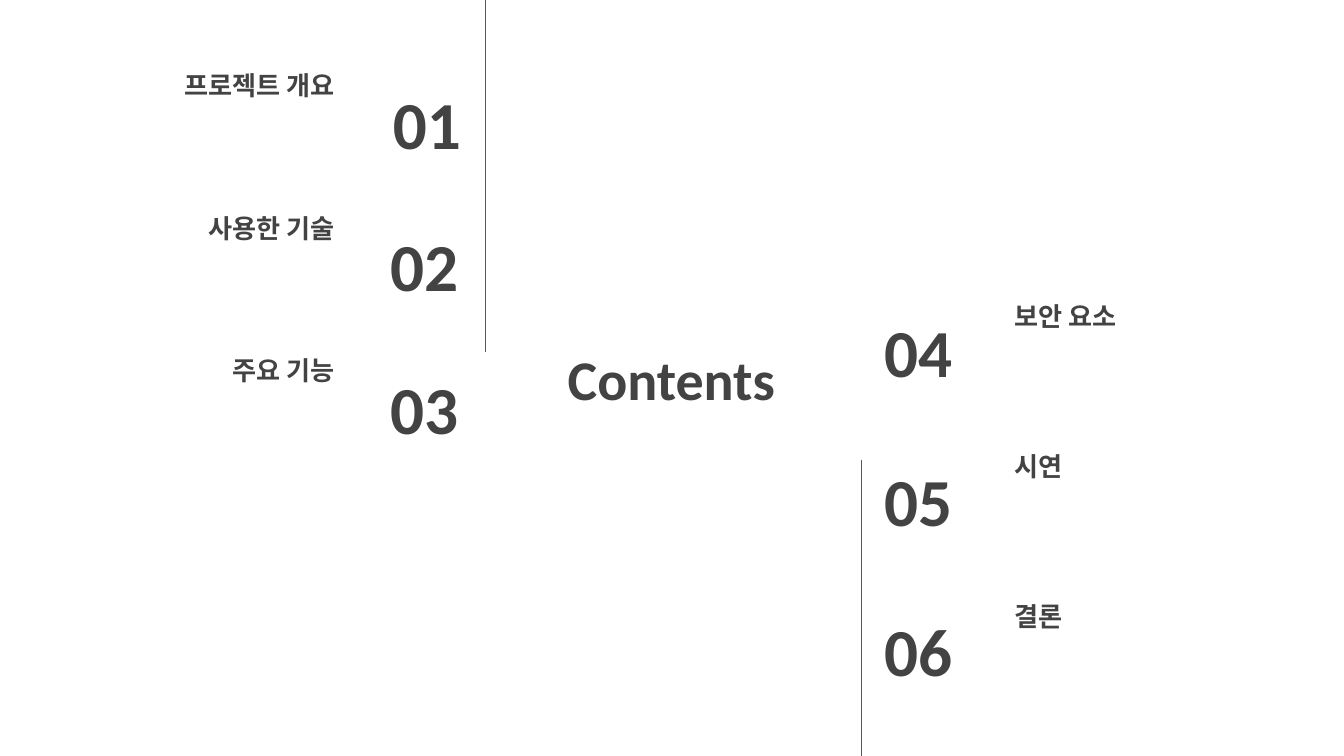
from dataclasses import dataclass

from lxml.etree import SubElement
from pptx import Presentation
from pptx.dml.color import RGBColor
from pptx.enum.shapes import MSO_CONNECTOR
from pptx.enum.text import MSO_ANCHOR, PP_ALIGN
from pptx.oxml.ns import qn
from pptx.slide import Slide
from pptx.util import Cm, Pt

COLOURS = {"text": "434343", "line": "595959", "background": "FFFFFF"}
FONT = "Calibri"
SLIDE_WIDTH, SLIDE_HEIGHT = 25.4, 14.29
ROW_HEIGHT = 1.6
LABEL_WIDTH = 5.49
INSET = 0.25


@dataclass(frozen=True)
class Box:
    left: float
    top: float
    width: float
    height: float = ROW_HEIGHT


@dataclass(frozen=True)
class Column:
    """One side of the contents; lengths are in centimetres."""
    labels: tuple[str, ...]
    first_number: int
    number_lefts: tuple[float, ...]
    number_top: float
    number_width: float
    label_left: float
    label_top: float
    step: float
    alignment: PP_ALIGN


@dataclass(frozen=True)
class Rule:
    x: float
    top: float
    bottom: float


COLUMNS = (
    Column(("프로젝트 개요", "사용한 기술", "주요 기능"), 1, (5.89, 5.84, 5.84),
           1.52, 3.07, 1.09, 0.56, 2.69, PP_ALIGN.RIGHT),
    Column(("보안 요소", "시연", "결론"), 4, (16.46, 16.46, 16.46),
           5.82, 2.97, 18.92, 4.93, 2.83, PP_ALIGN.LEFT),
)
RULES = (Rule(9.17, 0, 6.65), Rule(16.28, 8.69, SLIDE_HEIGHT))


def add_text(slide: Slide, text: str, box: Box, size: int,
             alignment: PP_ALIGN, anchor: MSO_ANCHOR = MSO_ANCHOR.MIDDLE) -> None:
    shape = slide.shapes.add_textbox(
        Cm(box.left), Cm(box.top), Cm(box.width), Cm(box.height))
    frame = shape.text_frame
    frame.word_wrap = True
    frame.vertical_anchor = anchor
    frame.margin_left = frame.margin_right = Cm(INSET)
    frame.margin_top = frame.margin_bottom = Cm(INSET)
    paragraph = frame.paragraphs[0]
    paragraph.text = text
    paragraph.alignment = alignment
    paragraph.font.name = FONT
    paragraph.font.size = Pt(size)
    paragraph.font.bold = True
    paragraph.font.color.rgb = RGBColor.from_string(COLOURS["text"])


def add_column(slide: Slide, column: Column) -> None:
    for index, (label, number_left) in enumerate(
            zip(column.labels, column.number_lefts)):
        offset = index * column.step
        label_box = Box(column.label_left, column.label_top + offset, LABEL_WIDTH)
        number_box = Box(number_left, column.number_top + offset, column.number_width)
        add_text(slide, label, label_box, 14, column.alignment, MSO_ANCHOR.BOTTOM)
        add_text(slide, f"{column.first_number + index:02d}", number_box, 36,
                 column.alignment)


def add_rule(slide: Slide, rule: Rule) -> None:
    connector = slide.shapes.add_connector(
        MSO_CONNECTOR.STRAIGHT,
        Cm(rule.x), Cm(rule.top), Cm(rule.x), Cm(rule.bottom))
    connector.line.color.rgb = RGBColor.from_string(COLOURS["line"])
    connector.line.width = Pt(0.75)
    SubElement(connector._element.spPr, qn("a:effectLst"))


def main() -> None:
    presentation = Presentation()
    presentation.slide_width = Cm(SLIDE_WIDTH)
    presentation.slide_height = Cm(SLIDE_HEIGHT)
    slide = presentation.slides.add_slide(presentation.slide_layouts[6])
    background = slide.background.fill
    background.solid()
    background.fore_color.rgb = RGBColor.from_string(COLOURS["background"])

    add_text(slide, "Contents", Box(9.4, 5.84, 6.58, 2.62), 30, PP_ALIGN.CENTER)
    for column in COLUMNS:
        add_column(slide, column)
    for rule in RULES:
        add_rule(slide, rule)
    presentation.save("out.pptx")


if __name__ == "__main__":
    main()
